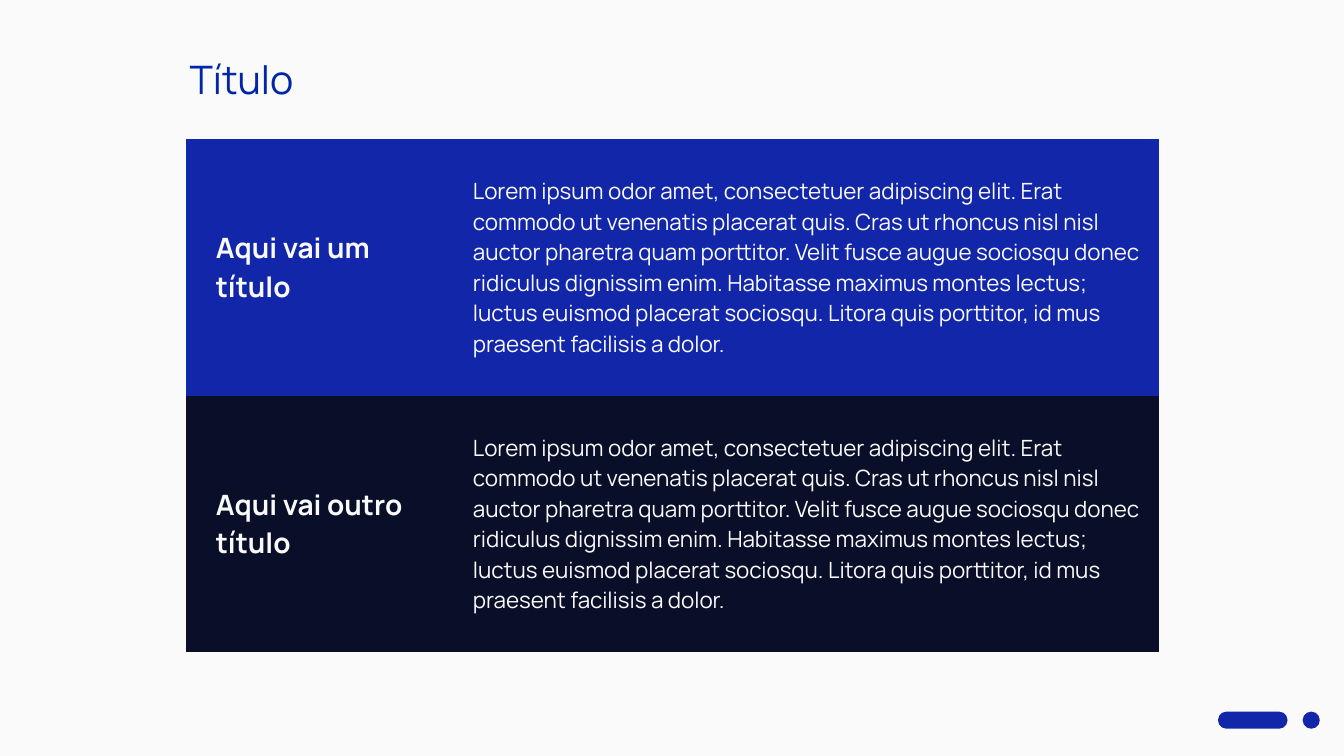
import pptx
import pptx.dml.color
import pptx.enum.shapes
import pptx.enum.text
import pptx.oxml.ns
import pptx.util

Inches = pptx.util.Inches
RGBColor = pptx.dml.color.RGBColor

OFF_WHITE = RGBColor(0xFA, 0xFA, 0xFA)
BLUE = RGBColor(0x12, 0x26, 0xAA)
TITLE_BLUE = RGBColor(0x01, 0x26, 0xAA)
NAVY = RGBColor(0x09, 0x0E, 0x29)
FONT = "Manrope"
NO_GRID_STYLE = "{2D5ABB26-0587-4C30-8999-92F81FD0307C}"

LOREM = (
    "Lorem ipsum odor amet, consectetuer adipiscing elit. Erat commodo ut "
    "venenatis placerat quis. Cras ut rhoncus nisl nisl auctor pharetra quam "
    "porttitor. Velit fusce augue sociosqu donec ridiculus dignissim enim. "
    "Habitasse maximus montes lectus; luctus euismod placerat sociosqu. "
    "Litora quis porttitor, id mus praesent facilisis a dolor."
)
TOPICS = [
    ("Aqui vai um título", LOREM, BLUE),
    ("Aqui vai outro título", LOREM, NAVY),
]


def style_text(paragraph, size, color, bold=False):
    """Format every run of a paragraph."""
    for run in paragraph.runs:
        run.font.name = FONT
        run.font.size = pptx.util.Pt(size)
        run.font.bold = bold
        run.font.color.rgb = color


def add_title(slide, left, top, width, height):
    """Place the slide title in the given box."""
    title = slide.shapes.title
    title.left, title.top = Inches(left), Inches(top)
    title.width, title.height = Inches(width), Inches(height)
    frame = title.text_frame
    frame.text = "Título"
    frame.word_wrap = True
    frame.auto_size = pptx.enum.text.MSO_AUTO_SIZE.NONE
    frame.vertical_anchor = pptx.enum.text.MSO_ANCHOR.MIDDLE
    frame.margin_left = frame.margin_right = Inches(0.1)
    frame.margin_top = frame.margin_bottom = Inches(0.1)
    heading = frame.paragraphs[0]
    heading.alignment = pptx.enum.text.PP_ALIGN.LEFT
    style_text(heading, 28, TITLE_BLUE)


def fill_cell(cell, text, size, bold, background):
    """Write one indented, vertically centred table cell."""
    cell.fill.solid()
    cell.fill.fore_color.rgb = background
    cell.vertical_anchor = pptx.enum.text.MSO_ANCHOR.MIDDLE
    paragraph = cell.text_frame.paragraphs[0]
    paragraph.text = text
    properties = paragraph._p.get_or_add_pPr()
    properties.set("marL", str(Inches(0.2)))
    properties.set("indent", "0")
    style_text(paragraph, size, OFF_WHITE, bold)


def add_topics(slide, left, top, width, height):
    """Fill the given box with one table row per topic."""
    table_frame = slide.shapes.add_table(
        len(TOPICS), 2, Inches(left), Inches(top), Inches(width), Inches(height)
    )
    topics = table_frame.table
    topics.first_row = topics.horz_banding = False
    for style in table_frame._element.iter(pptx.oxml.ns.qn("a:tableStyleId")):
        style.text = NO_GRID_STYLE
    heading_width = 2.55
    topics.columns[0].width = Inches(heading_width)
    topics.columns[1].width = Inches(width - heading_width)
    for row, (heading, description, background) in enumerate(TOPICS):
        fill_cell(topics.cell(row, 0), heading, 20, True, background)
        fill_cell(topics.cell(row, 1), description, 16, False, background)


def add_corner_mark(slide, left, top, width, height):
    """Draw a pill and a dot at the two ends of the given box."""
    pill_width = 0.69
    for offset, mark_width in [(0, pill_width), (width - height, height)]:
        mark = slide.shapes.add_shape(
            pptx.enum.shapes.MSO_SHAPE.ROUNDED_RECTANGLE,
            Inches(left + offset), Inches(top), Inches(mark_width), Inches(height),
        )
        mark.adjustments[0] = 0.5
        mark.shadow.inherit = False
        mark.fill.solid()
        mark.fill.fore_color.rgb = BLUE
        mark.line.fill.background()


def build_topics_slide(deck):
    """Add the slide with its title, topics and corner mark."""
    slide = deck.slides.add_slide(deck.slide_layouts[5])
    slide.background.fill.solid()
    slide.background.fill.fore_color.rgb = OFF_WHITE
    add_corner_mark(slide, 12.08, 7.06, 1.01, 0.17)
    add_topics(slide, 1.84, 1.38, 9.65, 5.09)
    add_title(slide, 1.78, 0.45, 5.29, 0.67)


def main():
    """Build and save the deck."""
    deck = pptx.Presentation()
    deck.slide_width, deck.slide_height = Inches(13.33), Inches(7.5)
    build_topics_slide(deck)
    deck.save("out.pptx")


if __name__ == "__main__":
    main()
